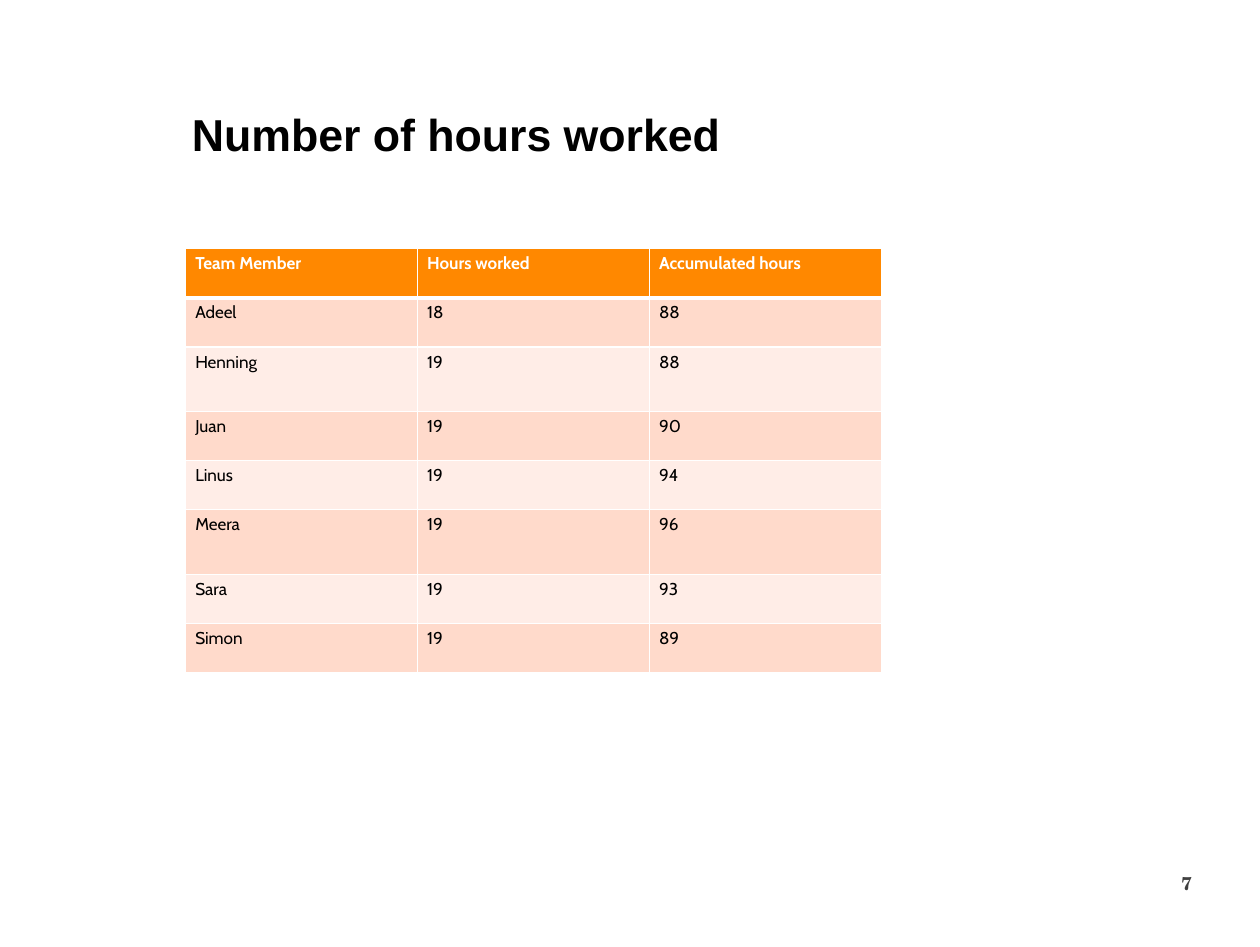
import dataclasses

import pptx
import pptx.dml.color
import pptx.enum.text
import pptx.oxml.ns
import pptx.util
from lxml import etree

Pt = pptx.util.Pt
Align = pptx.enum.text.PP_ALIGN


@dataclasses.dataclass(frozen=True)
class Theme:
    white: str = "FFFFFF"
    black: str = "000000"
    gray: str = "404040"
    header: str = "FF8800"
    bands: tuple = ("FFDACB", "FFEDE7")
    title_font: str = "Arial"
    table_font: str = "Cabin"
    number_font: str = "TeX Gyre Schola"
    title_size: int = 34
    table_size: int = 13
    number_size: int = 14
    thin: int = 1
    thick: int = 3


THEME = Theme()

HOURS = [
    ("Team Member", "Hours worked", "Accumulated hours"),
    ("Adeel", "18", "88"),
    ("Henning", "19", "88"),
    ("Juan", "19", "90"),
    ("Linus", "19", "94"),
    ("Meera", "19", "96"),
    ("Sara", "19", "93"),
    ("Simon", "19", "89"),
]
ROW_HEIGHT, TALL_ROW_HEIGHT = 37.4, 49
TALL_ROWS = {"Henning", "Meera"}


def style_paragraph(paragraph, font_name, size, color, bold):
    font = paragraph.font
    font.name, font.size, font.bold = font_name, Pt(size), bold
    font.color.rgb = pptx.dml.color.RGBColor.from_string(color)


def add_text(slide, box, text, font_name, size, color, align=Align.LEFT, line_spacing=1.0):
    """Place one bold line, centred vertically in its box."""
    frame = slide.shapes.add_textbox(*map(Pt, box)).text_frame
    frame.word_wrap = True
    frame.vertical_anchor = pptx.enum.text.MSO_ANCHOR.MIDDLE
    frame.margin_left = frame.margin_right = Pt(5)
    frame.margin_top = frame.margin_bottom = Pt(2.7)
    paragraph = frame.paragraphs[0]
    paragraph.text = text
    paragraph.alignment = align
    paragraph.line_spacing = line_spacing
    style_paragraph(paragraph, font_name, size, color, True)


def set_border(cell, side, width):
    qn = pptx.oxml.ns.qn
    properties = cell._tc.get_or_add_tcPr()
    line = etree.SubElement(properties, qn(f"a:ln{side}"), w=str(Pt(width)))
    fill = etree.SubElement(line, qn("a:solidFill"))
    etree.SubElement(fill, qn("a:srgbClr"), val=THEME.white)


def style_cell(cell, row_index):
    is_header = row_index == 0
    # Borders come before the fill in the cell properties
    widths = {"L": THEME.thin, "R": THEME.thin,
              "T": THEME.thick if row_index == 1 else THEME.thin,
              "B": THEME.thick if is_header else THEME.thin}
    for side, width in widths.items():
        set_border(cell, side, width)
    color = THEME.header if is_header else THEME.bands[(row_index - 1) % 2]
    cell.fill.solid()
    cell.fill.fore_color.rgb = pptx.dml.color.RGBColor.from_string(color)
    style_paragraph(cell.text_frame.paragraphs[0], THEME.table_font, THEME.table_size,
                    THEME.white if is_header else THEME.black, is_header)


def add_hours_table(slide, box):
    column_count = len(HOURS[0])
    table = slide.shapes.add_table(len(HOURS), column_count, *map(Pt, box)).table
    for column in table.columns:
        column.width = Pt(box[2] / column_count)
    for row_index, values in enumerate(HOURS):
        is_tall = values[0] in TALL_ROWS
        table.rows[row_index].height = Pt(TALL_ROW_HEIGHT if is_tall else ROW_HEIGHT)
        for column_index, value in enumerate(values):
            cell = table.cell(row_index, column_index)
            cell.text = value
            style_cell(cell, row_index)


def add_hours_slide(presentation):
    slide = presentation.slides.add_slide(presentation.slide_layouts[6])
    # Title
    add_text(slide, (141, 69, 618, 70.5), "Number of hours worked",
             THEME.title_font, THEME.title_size, THEME.black, line_spacing=0.9)
    # Hours per team member
    add_hours_table(slide, (141.3, 189, 529.2, 322.4))
    # Slide number
    add_text(slide, (754.5, 658, 157, 26.6), "7",
             THEME.number_font, THEME.number_size, THEME.gray, Align.RIGHT)


def main():
    presentation = pptx.Presentation()
    presentation.slide_width, presentation.slide_height = Pt(958.3), Pt(720)
    add_hours_slide(presentation)
    presentation.save("out.pptx")


if __name__ == "__main__":
    main()
